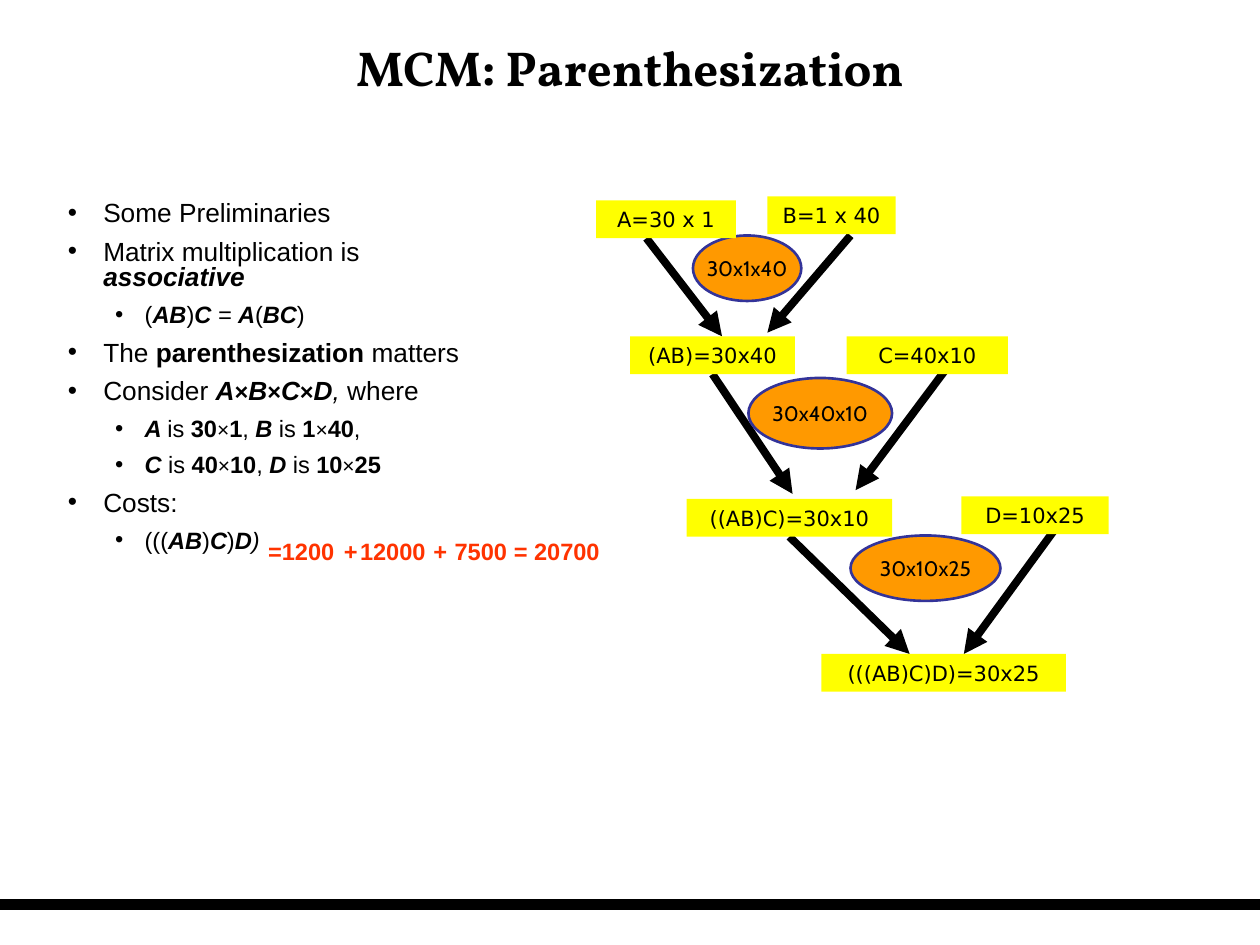
from typing import NamedTuple

import pptx
import pptx.dml.color
import pptx.enum.shapes
import pptx.enum.text
import pptx.oxml.ns
import pptx.util
from lxml import etree

Pt = pptx.util.Pt
qn = pptx.oxml.ns.qn
SHAPES = pptx.enum.shapes.MSO_SHAPE
ALIGN = pptx.enum.text.PP_ALIGN
ANCHOR = pptx.enum.text.MSO_ANCHOR

COLORS = {"ink": "000000", "matrix": "FFFF00", "cost": "FF9900",
          "cost_line": "333399", "sum": "FF3300"}
BOX_HEIGHT = 21.6
BOTTOM_SIDE = 2


class Matrix(NamedTuple):
    text: str
    left: float
    top: float
    width: float


class Cost(NamedTuple):
    text: str
    left: float
    top: float
    width: float
    height: float


class Arrow(NamedTuple):
    start: tuple[float, float]
    end: tuple[float, float]
    source: str = ""  # matrix box whose bottom middle the arrow leaves


class Bullet(NamedTuple):
    level: int
    runs: list[tuple[str, str]]  # style letters: b bold, i italic, s smaller


class SumPart(NamedTuple):
    text: str
    left: float
    width: float


MATRICES = [
    Matrix("(AB)=30x40", 360, 192.2, 94.3),
    Matrix("((AB)C)=30x10", 392.4, 285.1, 117.4),
    Matrix("(((AB)C)D)=30x25", 469.4, 373.7, 139.7),
    Matrix("A=30 x 1", 340.6, 114.5, 79.9),
    Matrix("B=1 x 40", 438.5, 112.3, 73.4),
    Matrix("C=40x10", 483.8, 192.2, 92.2),
    Matrix("D=10x25", 549.4, 283.7, 84.2),
]
COSTS = [
    Cost("30x1x40", 396, 134.6, 61.9, 37.4),
    Cost("30x40x10", 427.7, 216, 82.1, 40.3),
    Cost("30x10x25", 486, 306, 85.7, 37.4),
]
ARROWS = [
    Arrow((369.4, 136.1), (412.6, 192.2)),
    Arrow((486, 134.6), (438.5, 190.1)),
    Arrow((405.4, 216), (452.9, 282.2), "(AB)=30x40"),
    Arrow((540, 211.7), (488.9, 280.1)),
    Arrow((454.3, 306), (519.8, 373.7), "((AB)C)=30x10"),
    Arrow((603.4, 301.7), (550.8, 373.7)),
]
BULLETS = [
    Bullet(0, [("Some Preliminaries", "")]),
    Bullet(0, [("Matrix multiplication is ", ""), ("associative", "bi")]),
    Bullet(1, [("(", ""), ("AB", "bi"), (")", ""), ("C", "bi"), (" = ", "i"),
               ("A", "bi"), ("(", ""), ("BC", "bi"), (")", "")]),
    Bullet(0, [("The ", ""), ("parenthesization", "b"), (" matters", "")]),
    Bullet(0, [("Consider ", ""), ("A", "bi"), ("×", "bs"), ("B", "bi"), ("×", "bs"),
               ("C", "bi"), ("×", "bs"), ("D", "bi"), (", ", "i"), ("where", "")]),
    Bullet(1, [("A ", "bi"), ("is ", ""), ("30", "b"), ("×", "s"), ("1", "b"), (", ", ""),
               ("B ", "bi"), ("is ", ""), ("1", "b"), ("×", "s"), ("40", "b"), (",", "")]),
    Bullet(1, [("C ", "bi"), ("is ", ""), ("40", "b"), ("×", "s"), ("10", "b"), (", ", ""),
               ("D ", "bi"), ("is ", ""), ("10", "b"), ("×", "s"), ("25", "b")]),
    Bullet(0, [("Costs:", "")]),
    Bullet(1, [("(((", ""), ("AB", "bi"), (")", ""), ("C", "bi"), (")", ""),
               ("D", "bi"), (")", "i")]),
]
SUM_PARTS = [
    SumPart("=1200", 146.2, 59.8), SumPart("+", 189.4, 18),
    SumPart("12000", 198.7, 53.3), SumPart("+", 240.5, 18),
    SumPart("7500", 252.7, 48), SumPart("= 20700", 286.6, 72),
]


def rgb(name: str) -> pptx.dml.color.RGBColor:
    return pptx.dml.color.RGBColor.from_string(COLORS[name])


def add_span(para, text: str, *, size: float, font: str, color: str = "ink",
             bold: bool = False, italic: bool = False) -> None:
    span = para.add_run()
    span.text = text
    span.font.size = Pt(size)
    span.font.name = font
    span.font.bold = bold
    span.font.italic = italic
    span.font.color.rgb = rgb(color)


def add_frame(page, left: float, top: float, width: float, height: float):
    frame = page.shapes.add_textbox(Pt(left), Pt(top), Pt(width), Pt(height)).text_frame
    frame.word_wrap = True
    return frame


def add_line(page, start: tuple[float, float], end: tuple[float, float],
             width: float, arrowhead: bool = False):
    line = page.shapes.add_connector(pptx.enum.shapes.MSO_CONNECTOR.STRAIGHT,
                                     *(Pt(value) for value in start + end))
    line.line.color.rgb = rgb("ink")
    line.line.width = Pt(width)
    if arrowhead:
        etree.SubElement(line.line._get_or_add_ln(), qn("a:tailEnd"), type="triangle")
    etree.SubElement(line._element.spPr, qn("a:effectLst"))
    return line


def add_label(page, item: Matrix | Cost, preset, height: float, fill: str,
              font: str, outline: str = ""):
    box = page.shapes.add_shape(preset, Pt(item.left), Pt(item.top), Pt(item.width), Pt(height))
    box.shadow.inherit = False
    box.fill.solid()
    box.fill.fore_color.rgb = rgb(fill)
    if outline:
        box.line.color.rgb = rgb(outline)
        box.line.width = Pt(1.5)
    else:
        box.line.fill.background()
    box.text_frame.word_wrap = False
    box.text_frame.vertical_anchor = ANCHOR.MIDDLE
    para = box.text_frame.paragraphs[0]
    para.alignment = ALIGN.CENTER
    add_span(para, item.text, size=12, font=font)
    return box


def add_bullet(para, bullet: Bullet, first: bool) -> None:
    para.level = bullet.level
    para.line_spacing = 0.8
    para.space_before = Pt(0 if first else 7.8)
    margin, indent = [(20.25, -20.25), (43.9, -16.9)][bullet.level]
    properties = para._p.get_or_add_pPr()
    properties.set("marL", str(Pt(margin)))
    properties.set("indent", str(Pt(indent)))
    etree.SubElement(properties, qn("a:buFont"), typeface="Arial")
    etree.SubElement(properties, qn("a:buChar"), char="•")
    for text, style in bullet.runs:
        size = 15 - 1.5 * bullet.level - 1.5 * ("s" in style)
        add_span(para, text, size=size, font="Arial", bold="b" in style, italic="i" in style)


def main() -> None:
    deck = pptx.Presentation()
    deck.slide_width, deck.slide_height = Pt(720), Pt(540)
    page = deck.slides.add_slide(deck.slide_layouts[6])

    # Footer rule and title
    add_line(page, (0, 517), (720, 517), 6)
    title = add_frame(page, 3.6, 5, 712.8, 66.2)
    title.vertical_anchor = ANCHOR.MIDDLE
    title.paragraphs[0].alignment = ALIGN.CENTER
    add_span(title.paragraphs[0], "MCM: Parenthesization", size=28, font="Vollkorn", bold=True)

    # Bullet list
    body = add_frame(page, 31.7, 112.3, 265.7, 333.4)
    for index, bullet in enumerate(BULLETS):
        para = body.add_paragraph() if index else body.paragraphs[0]
        add_bullet(para, bullet, first=index == 0)

    # Multiplication tree: arrows, then costs, then matrices on top
    lines = [add_line(page, arrow.start, arrow.end, 4.5, arrowhead=True) for arrow in ARROWS]
    for cost in COSTS:
        add_label(page, cost, SHAPES.OVAL, cost.height, "cost", "Cabin", "cost_line")
    boxes = {matrix.text: add_label(page, matrix, SHAPES.RECTANGLE, BOX_HEIGHT,
                                    "matrix", "DejaVu Sans") for matrix in MATRICES}
    for arrow, line in zip(ARROWS, lines):
        if arrow.source:
            line.begin_connect(boxes[arrow.source], BOTTOM_SIDE)

    # Sum of the costs
    for part in SUM_PARTS:
        frame = add_frame(page, part.left, 303.5, part.width, 23.8)
        add_span(frame.paragraphs[0], part.text, size=13.5, font="Arial", color="sum", bold=True)

    deck.save("out.pptx")


if __name__ == "__main__":
    main()
